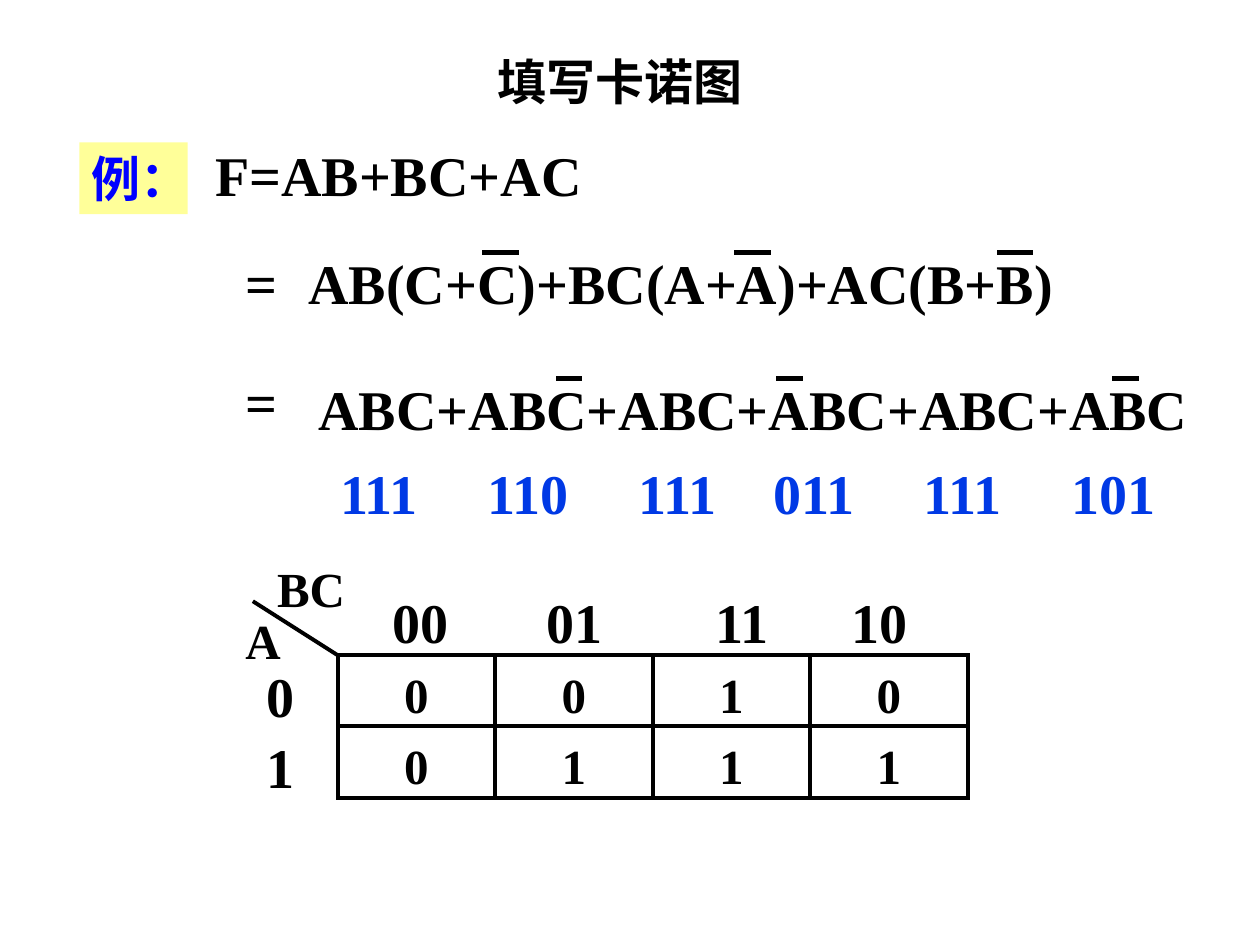
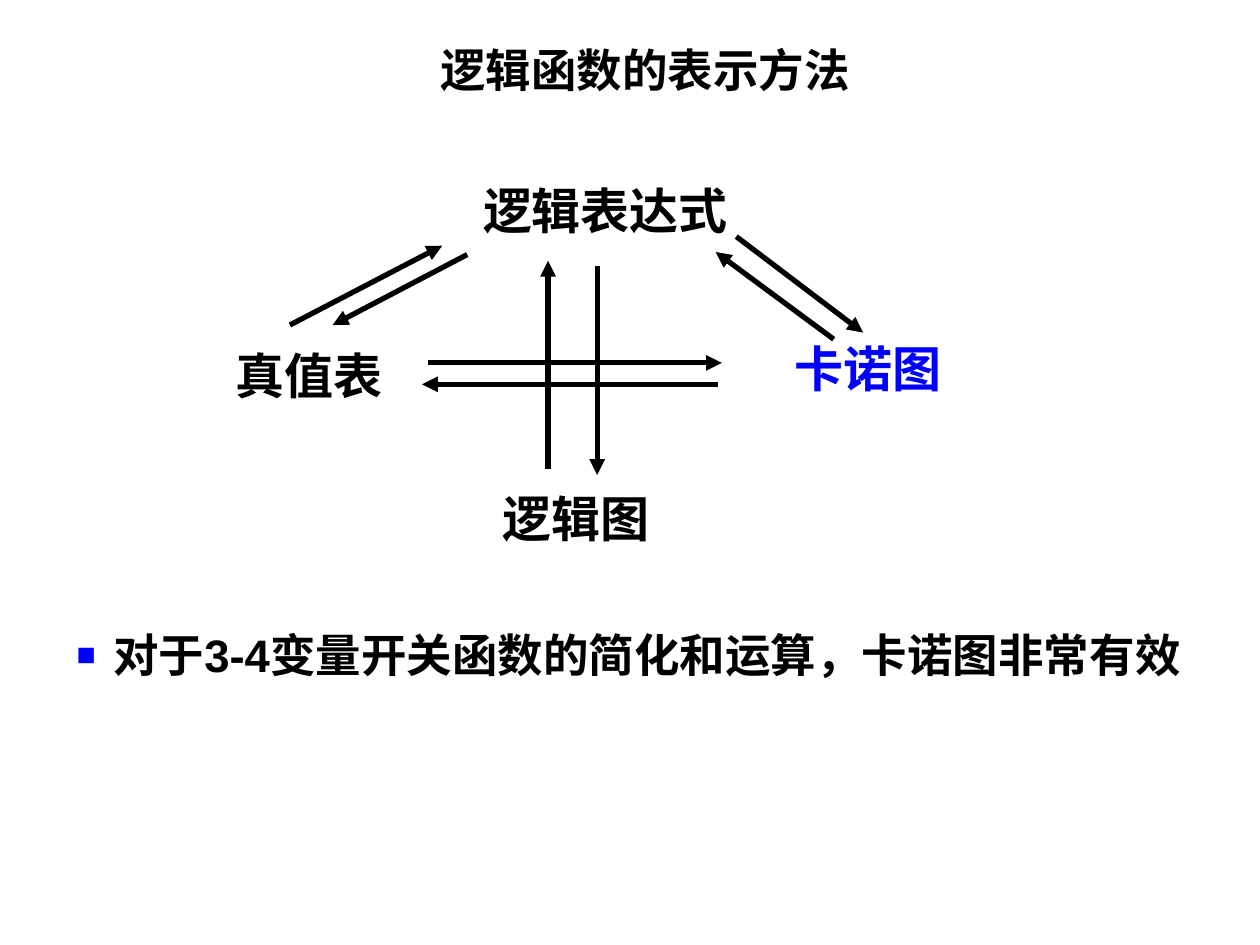
from dataclasses import dataclass
from itertools import product

from lxml.etree import SubElement
from pptx import Presentation
from pptx.dml.color import RGBColor as Rgb
from pptx.enum.shapes import MSO_CONNECTOR as Connector, MSO_SHAPE as Preset
from pptx.enum.text import MSO_ANCHOR as Anchor, MSO_AUTO_SIZE as AutoSize, PP_ALIGN as Align
from pptx.oxml.ns import qn
from pptx.util import Emu, Inches, Pt


@dataclass(frozen=True)
class Theme:
    """Colours, fonts, type sizes and line widths of the lesson."""
    ink: str = "000000"
    accent: str = "0000FF"
    code: str = "0039E5"
    highlight: str = "FFFF99"
    sans: str = "Arial"
    serif: str = "Times New Roman"
    formula: int = 32
    label: int = 28
    body: int = 26
    heavy: float = 3
    grid: float = 2.25
    thin: float = 1


class Lesson:
    """Draws on the current slide, on a grid of 100 columns and 75 rows."""

    def __init__(self, theme):
        """Open an empty 10 by 7.5 inch deck."""
        self.theme = theme
        self.deck = Presentation()
        self.deck.slide_width, self.deck.slide_height = Inches(10), Inches(7.5)
        self.unit = self.deck.slide_width / 100

    def new_slide(self):
        """Start a blank slide."""
        self.shapes = self.deck.slides.add_slide(self.deck.slide_layouts[6]).shapes

    def grid(self, *cells):
        """Turn grid units into lengths."""
        return [Emu(round(cell * self.unit)) for cell in cells]

    def style(self, frame, text, size, font, color=None, align=Align.LEFT, anchor=Anchor.TOP):
        """Put styled text in a frame."""
        frame.text = text
        frame.word_wrap = True
        frame.vertical_anchor = anchor
        for paragraph in frame.paragraphs:
            paragraph.alignment = align
            for run in paragraph.runs:
                run.font.size, run.font.name, run.font.bold = Pt(size), font, True
                run.font.color.rgb = Rgb.from_string(color or self.theme.ink)

    def text(self, place, text, size, font, **look):
        """Add a text box that grows with its text and return its frame."""
        frame = self.shapes.add_textbox(*self.grid(*place)).text_frame
        self.style(frame, text, size, font, **look)
        frame.auto_size = AutoSize.SHAPE_TO_FIT_TEXT
        return frame

    def title(self, place, text, size):
        """Add a centred slide title."""
        frame = self.text(place, text, size, self.theme.sans, align=Align.CENTER, anchor=Anchor.MIDDLE)
        frame.auto_size = AutoSize.NONE

    def formula(self, place, text, size=None, color=None):
        """Add a line of algebra and return its frame."""
        return self.text(place, text, size or self.theme.formula, self.theme.serif, color=color)

    def tabbed(self, place, text, stops, color=None):
        """Add entries centred on tab stops given in columns."""
        properties = self.formula(place, text, color=color).paragraphs[0]._p.get_or_add_pPr()
        tabs = SubElement(properties, qn("a:tabLst"))
        for stop in self.grid(*stops):
            SubElement(tabs, qn("a:tab"), pos=str(stop), algn="ctr")

    def stacked(self, place, text):
        """Add tightly set row headings, one below the other."""
        headings = self.formula(place, text).paragraphs
        for heading in headings:
            heading.line_spacing = 0.65
        for heading in headings[1:]:
            heading.space_before = Pt(16)

    def bullet(self, place, text):
        """Add a paragraph with a small square bullet."""
        paragraph = self.text(place, text, self.theme.body, self.theme.sans).paragraphs[0]
        properties = paragraph._p.get_or_add_pPr()
        indent, = self.grid(2.9)
        properties.set("marL", str(indent))
        properties.set("indent", str(-indent))
        SubElement(SubElement(properties, qn("a:buClr")), qn("a:srgbClr"), val=self.theme.accent)
        SubElement(properties, qn("a:buSzPct"), val="70000")
        SubElement(properties, qn("a:buFont"), typeface=self.theme.sans)
        SubElement(properties, qn("a:buChar"), char="■")

    def box(self, place):
        """Add a bare rectangle."""
        box = self.shapes.add_shape(Preset.RECTANGLE, *self.grid(*place))
        box.shadow.inherit = False
        box.fill.background()
        box.line.fill.background()
        return box

    def tag(self, place, text):
        """Add a highlighted tag."""
        tag = self.box(place)
        tag.fill.solid()
        tag.fill.fore_color.rgb = Rgb.from_string(self.theme.highlight)
        self.style(tag.text_frame, text, self.theme.label, self.theme.sans, self.theme.accent)

    def cell(self, place, value):
        """Add an outlined square of the map."""
        cell = self.box(place)
        cell.line.color.rgb = Rgb.from_string(self.theme.ink)
        cell.line.width = Pt(self.theme.thin)
        frame = cell.text_frame
        self.style(frame, value, self.theme.label, self.theme.serif,
                   align=Align.CENTER, anchor=Anchor.MIDDLE)
        frame.margin_top, frame.margin_bottom = self.grid(0.8, 0.3)

    def line(self, start, end, width, arrow=False):
        """Add a square-ended line, with an arrowhead at its end if asked."""
        stroke = self.shapes.add_connector(Connector.STRAIGHT, *self.grid(*start, *end))
        stroke.line.color.rgb = Rgb.from_string(self.theme.ink)
        stroke.line.width = Pt(width)
        outline = stroke.line._get_or_add_ln()
        outline.set("cap", "sq")
        if arrow:
            SubElement(outline, qn("a:tailEnd"), type="triangle")
        SubElement(stroke._element.spPr, qn("a:effectLst"))

    def overbars(self, starts, row, length):
        """Draw negation bars over letters."""
        for start in starts:
            self.line((start, row), (start + length, row), self.theme.heavy)

    def karnaugh_map(self, left, top, width, height, values):
        """Add the squares of a map and rule lines along their edges."""
        rows, columns = len(values), len(values[0])
        xs = [left + column * width for column in range(columns + 1)]
        ys = [top + row * height for row in range(rows + 1)]
        for row, column in product(range(rows), range(columns)):
            self.cell((xs[column], ys[row], width, height), values[row][column])
        for y in ys:
            self.line((xs[0], y), (xs[-1], y), self.theme.grid)
        for x in xs:
            self.line((x, ys[0]), (x, ys[-1]), self.theme.grid)


def fill_in_map(lesson):
    """Build the slide that expands F and fills in its map."""
    theme = lesson.theme
    lesson.new_slide()
    lesson.title((12.5, 2.8, 73.4, 7.2), "填写卡诺图", theme.label)
    lesson.tag((6.3, 11.3, 8.6, 5.7), "例：")
    lesson.formula((16.1, 10.65, 48.1, 6.3), "F=AB+BC+AC")
    for row in (19.2, 28.7):
        lesson.formula((18.5, row, 5, 6.3), "=")
    lesson.formula((23.5, 19.2, 69.2, 6.3), "AB(C+C)+BC(A+A)+AC(B+B)")
    lesson.overbars((38.5, 58.5, 79.3), 20.05, 2.5)
    lesson.formula((24.3, 29.2, 73.3, 6.3), "+".join(["ABC"] * 6))
    lesson.overbars((44.3, 61.8, 88.5), 30.05, 1.7)
    lesson.tabbed((22.6, 35.9, 73, 6.4), "\t111\t110\t111\t011\t111\t101",
                  (6.5, 18.3, 30.2, 41, 52.8, 64.8), theme.code)

    left, top = 26.8, 52
    lesson.karnaugh_map(left, top, 12.5, 5.65, ("0010", "0111"))
    lesson.line((20.2, 47.8), (left, top), theme.grid)
    lesson.tabbed((30.2, 46.15, 46.7, 6.3), "00\t01\t11\t10", (14.4, 27.7, 38.6))
    lesson.stacked((20.2, 53.65, 7.5, 10.6), "0\n1")
    lesson.formula((18.5, 48, 6.7, 5.7), "A", theme.label)
    lesson.formula((21, 43.8, 9.2, 5.7), "BC", theme.label)


def representations(lesson):
    """Build the slide that links the forms of a logic function."""
    theme = lesson.theme
    lesson.new_slide()
    lesson.title((12.2, 2.8, 78, 5.4), "逻辑函数的表示方法", theme.body)
    forms = (
        ((34.2, 13.85, 27.7, 5.7), "逻辑表达式", Align.CENTER, theme.ink),
        ((38.9, 38.3, 18.8, 5.7), "逻辑图", Align.LEFT, theme.ink),
        ((17.7, 26.9, 17.5, 5.7), "真值表", Align.LEFT, theme.ink),
        ((58.65, 26.4, 20.5, 5.7), "卡诺图", Align.CENTER, theme.accent),
    )
    for place, name, align, color in forms:
        lesson.text(place, name, theme.label, theme.sans, color=color, align=align)
    conversions = (
        ((43.5, 37), (43.5, 20.7)), ((47.4, 21.3), (47.4, 37.7)),
        ((34.2, 28.8), (57.3, 28.8)), ((56.8, 30.5), (33.5, 30.5)),
        ((23.2, 25.7), (35.1, 19.5)), ((36.9, 20.3), (26.4, 25.8)),
        ((58.6, 18.9), (68.5, 26.4)), ((66, 26.8), (56.8, 20)),
    )
    for start, end in conversions:
        lesson.line(start, end, theme.heavy, arrow=True)
    lesson.bullet((5.1, 49.3, 90.6, 5.4), "对于3-4变量开关函数的简化和运算，卡诺图非常有效")


lesson = Lesson(Theme())
fill_in_map(lesson)
representations(lesson)
lesson.deck.save("out.pptx")
